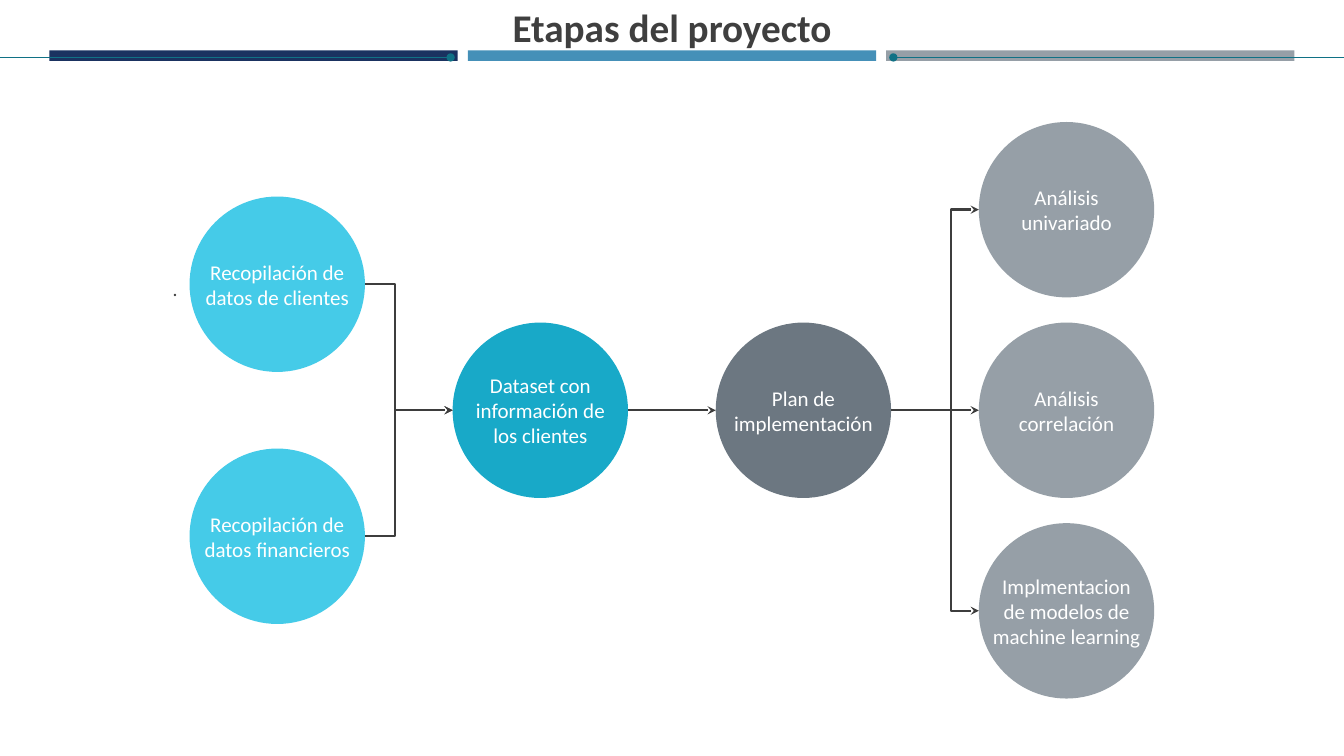
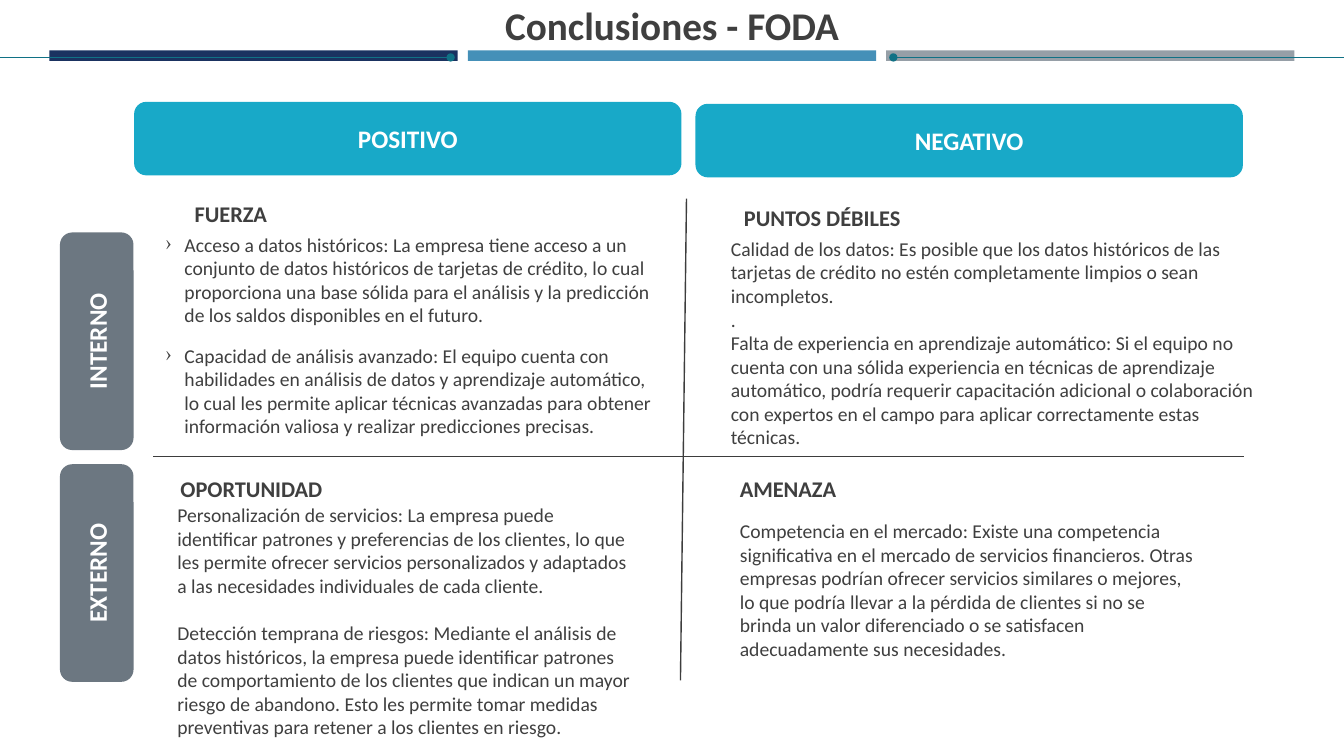
import pptx
import pptx.dml.color
import pptx.enum.shapes
import pptx.enum.text
import pptx.oxml.ns
import pptx.oxml.xmlchemy
import pptx.util
import lxml.etree

FONT = "Calibri"
INK, LINE, WHITE = "3F3F3F", "3D3D3D", "FFFFFF"
NAVY, BLUE, TEAL = "1A3260", "4590B8", "107185"
SKY, CYAN, SLATE, GREY = "45CBE8", "18A9C8", "6C7781", "969FA7"

PRESETS = pptx.enum.shapes.MSO_SHAPE
STRAIGHT = pptx.enum.shapes.MSO_CONNECTOR.STRAIGHT
ELBOW = pptx.enum.shapes.MSO_CONNECTOR.ELBOW
ALIGN = pptx.enum.text.PP_ALIGN
ANCHOR = pptx.enum.text.MSO_ANCHOR
qn = pptx.oxml.ns.qn


def paint(fill, color):
    fill.solid()
    fill.fore_color.rgb = pptx.dml.color.RGBColor.from_string(color)


def write_text(frame, text, size=14, color=INK, bold=False, align=ALIGN.LEFT,
               anchor=ANCHOR.TOP, spacing=None, gap=0, bullet=None):
    """Write each line of text as a paragraph, with gap points between them."""
    frame.word_wrap = True
    frame.vertical_anchor = anchor
    frame.margin_left = frame.margin_right = 0
    frame.margin_top = frame.margin_bottom = 0
    for number, words in enumerate(text.split("\n")):
        para = frame.add_paragraph() if number else frame.paragraphs[0]
        para.alignment = align
        if spacing:
            para.line_spacing = spacing
        if number and gap:
            para.space_before = pptx.util.Pt(gap)
        if bullet:
            indent = pptx.util.Inches(0.19)
            properties = para._p.get_or_add_pPr()
            properties.set("marL", str(indent))
            properties.set("indent", str(-indent))
            mark = lxml.etree.SubElement(properties, qn("a:buChar"))
            mark.set("char", bullet)
        span = para.add_run()
        span.text = words
        span.font.name = FONT
        span.font.size = pptx.util.Pt(size)
        span.font.bold = bold
        paint(span.font.fill, color)


# Deck and grid: 100 columns by 100 rows
deck = pptx.Presentation()
deck.slide_width = pptx.util.Inches(13.33)
deck.slide_height = pptx.util.Inches(7.5)
column, row = deck.slide_width / 100, deck.slide_height / 100
grid = (column, row, column, row)
blank = deck.slide_layouts[6]
stages, swot = [deck.slides.add_slide(blank) for _ in range(2)]

# What to draw, with places in columns and rows
shapes = []  # page, preset, place, color, rotation, label
lines = []   # page, kind, ends, color, width, bend, arrowheads
texts = []   # page, place, words, format

# Title, bands and rule on both pages
for page, title, top in ((stages, "Etapas del proyecto", 1.2),
                         (swot, "Conclusiones - FODA", 0.93)):
    for number, color in enumerate((NAVY, BLUE, GREY)):
        place = (3.68 + 31.13 * number, 6.67, 30.38, 1.37)
        shapes.append((page, PRESETS.RECTANGLE, place, color, 0, ""))
    lines.append((page, STRAIGHT, (0, 7.6, 33.53, 7.6), TEAL, 1, None,
                  {"tailEnd": "oval"}))
    lines.append((page, STRAIGHT, (66.47, 7.6, 100, 7.6), TEAL, 1, None,
                  {"headEnd": "oval"}))
    texts.append((page, (1.88, top, 96.24, 9.73), title,
                  dict(size=28, bold=True, align=ALIGN.CENTER, spacing=0.9)))

# Stages: circles in four columns around a middle row
circle_width, circle_height = 13.05, 23.2
label_width = 11.25
centers = [20.63 + 1.5 * circle_width * number for number in range(4)]
middle, near, far = 54.27, 16.67, 26.53
for step, offset, color, words in (
    (0, -near, SKY, "Recopilación de datos de clientes"),
    (0, near, SKY, "Recopilación de datos financieros"),
    (1, 0, CYAN, "Dataset con información de los clientes"),
    (2, 0, SLATE, "Plan de implementación"),
    (3, 0, GREY, "Análisis correlación"),
    (3, -far, GREY, "Análisis univariado"),
    (3, far, GREY, "Implmentacion de modelos de machine learning"),
):
    top = middle + offset - circle_height / 2
    place = (centers[step] - circle_width / 2, top, circle_width, circle_height)
    shapes.append((stages, PRESETS.OVAL, place, color, 0, ""))
    place = (centers[step] - label_width / 2, top, label_width, circle_height)
    texts.append((stages, place, words,
                  dict(size=15, color=WHITE, align=ALIGN.CENTER,
                       anchor=ANCHOR.MIDDLE)))
texts.append((stages, (2.18, 36, 11.03, 3.33), ".",
              dict(align=ALIGN.RIGHT, anchor=ANCHOR.MIDDLE, spacing=1.36)))

# Arrows between the circles; bend is the share of the way to the turn
for step, start, finish, bend in (
    (0, -near, 0, 0.34), (0, near, 0, 0.34), (1, 0, 0, None),
    (2, 0, 0, None), (2, 0, -far, 0.68), (2, 0, far, 0.68),
):
    ends = (centers[step] + circle_width / 2, middle + start,
            centers[step + 1] - circle_width / 2, middle + finish)
    lines.append((stages, ELBOW if bend else STRAIGHT, ends, LINE, 1.75, bend,
                  {"tailEnd": "stealth"}))

# SWOT: column heads, row heads and dividing lines
for left, top, width, color, rotation, label in (
    (9.98, 13.47, 40.73, CYAN, 0, "POSITIVO"),
    (51.75, 13.73, 40.73, CYAN, 0, "NEGATIVO"),
    (-0.9, 40.27, 16.2, SLATE, 270, "INTERNO"),
    (-0.9, 70.93, 16.2, SLATE, 270, "EXTERNO"),
):
    shapes.append((swot, PRESETS.ROUNDED_RECTANGLE, (left, top, width, 9.73),
                   color, rotation, label))
for ends in ((11.4, 60.4, 92.55, 60.4), (51.08, 26.27, 50.63, 90)):
    lines.append((swot, STRAIGHT, ends, LINE, 1, None, {}))

# SWOT: heading and body of each quarter
for heading, heading_spot, body_place, layout, body in (
    ("FUERZA", (14.48, 26.53), (12.3, 30.8, 36.53, 27.33),
     dict(gap=12, bullet="›"),
     "Acceso a datos históricos: La empresa tiene acceso a un conjunto de "
     "datos históricos de tarjetas de crédito, lo cual proporciona una base "
     "sólida para el análisis y la predicción de los saldos disponibles en "
     "el futuro.\n"
     "Capacidad de análisis avanzado: El equipo cuenta con habilidades en "
     "análisis de datos y aprendizaje automático, lo cual les permite aplicar "
     "técnicas avanzadas para obtener información valiosa y realizar "
     "predicciones precisas."),
    ("PUNTOS DÉBILES", (55.35, 27.07), (54.38, 31.33, 40.05, 28.27), {},
     "Calidad de los datos: Es posible que los datos históricos de las "
     "tarjetas de crédito no estén completamente limpios o sean incompletos.\n"
     ".\n"
     "Falta de experiencia en aprendizaje automático: Si el equipo no cuenta "
     "con una sólida experiencia en técnicas de aprendizaje automático, "
     "podría requerir capacitación adicional o colaboración con expertos en "
     "el campo para aplicar correctamente estas técnicas."),
    ("OPORTUNIDAD", (13.43, 62.8), (13.2, 66.53, 34.13, 31.47), dict(gap=17),
     "Personalización de servicios: La empresa puede identificar patrones y "
     "preferencias de los clientes, lo que les permite ofrecer servicios "
     "personalizados y adaptados a las necesidades individuales de cada "
     "cliente.\n"
     "Detección temprana de riesgos: Mediante el análisis de datos "
     "históricos, la empresa puede identificar patrones de comportamiento de "
     "los clientes que indican un mayor riesgo de abandono. Esto les permite "
     "tomar medidas preventivas para retener a los clientes en riesgo."),
    ("AMENAZA", (55.05, 62.8), (55.05, 68.67, 34.13, 18.8), {},
     "Competencia en el mercado: Existe una competencia significativa en el "
     "mercado de servicios financieros. Otras empresas podrían ofrecer "
     "servicios similares o mejores, lo que podría llevar a la pérdida de "
     "clientes si no se brinda un valor diferenciado o se satisfacen "
     "adecuadamente sus necesidades."),
):
    texts.append((swot, (*heading_spot, 34.13, 3.6), heading,
                  dict(size=16, bold=True)))
    texts.append((swot, body_place, body, layout))

# Draw the shapes
for page, preset, place, color, rotation, label in shapes:
    shape = page.shapes.add_shape(
        preset, *[round(part * unit) for part, unit in zip(place, grid)])
    shape.shadow.inherit = False
    shape.rotation = rotation
    paint(shape.fill, color)
    shape.line.fill.background()
    if label:
        write_text(shape.text_frame, label, size=18, color=WHITE, bold=True,
                   align=ALIGN.CENTER, anchor=ANCHOR.MIDDLE)

# Draw the lines
for page, kind, ends, color, width, bend, arrowheads in lines:
    connector = page.shapes.add_connector(
        kind, *[round(part * unit) for part, unit in zip(ends, grid)])
    connector.line.width = pptx.util.Pt(width)
    paint(connector.line.fill, color)
    properties = connector._element.spPr
    for tag, style in arrowheads.items():
        outline = properties.find(qn("a:ln"))
        lxml.etree.SubElement(outline, qn("a:" + tag)).set("type", style)
    if bend:
        guides = properties.find(qn("a:prstGeom")).find(qn("a:avLst"))
        guide = lxml.etree.SubElement(guides, qn("a:gd"))
        guide.set("name", "adj1")
        guide.set("fmla", f"val {round(bend * 100000)}")
    lxml.etree.SubElement(properties, qn("a:effectLst"))

# Draw the texts
for page, place, words, layout in texts:
    box = page.shapes.add_textbox(
        *[round(part * unit) for part, unit in zip(place, grid)])
    write_text(box.text_frame, words, **layout)

deck.save("out.pptx")
